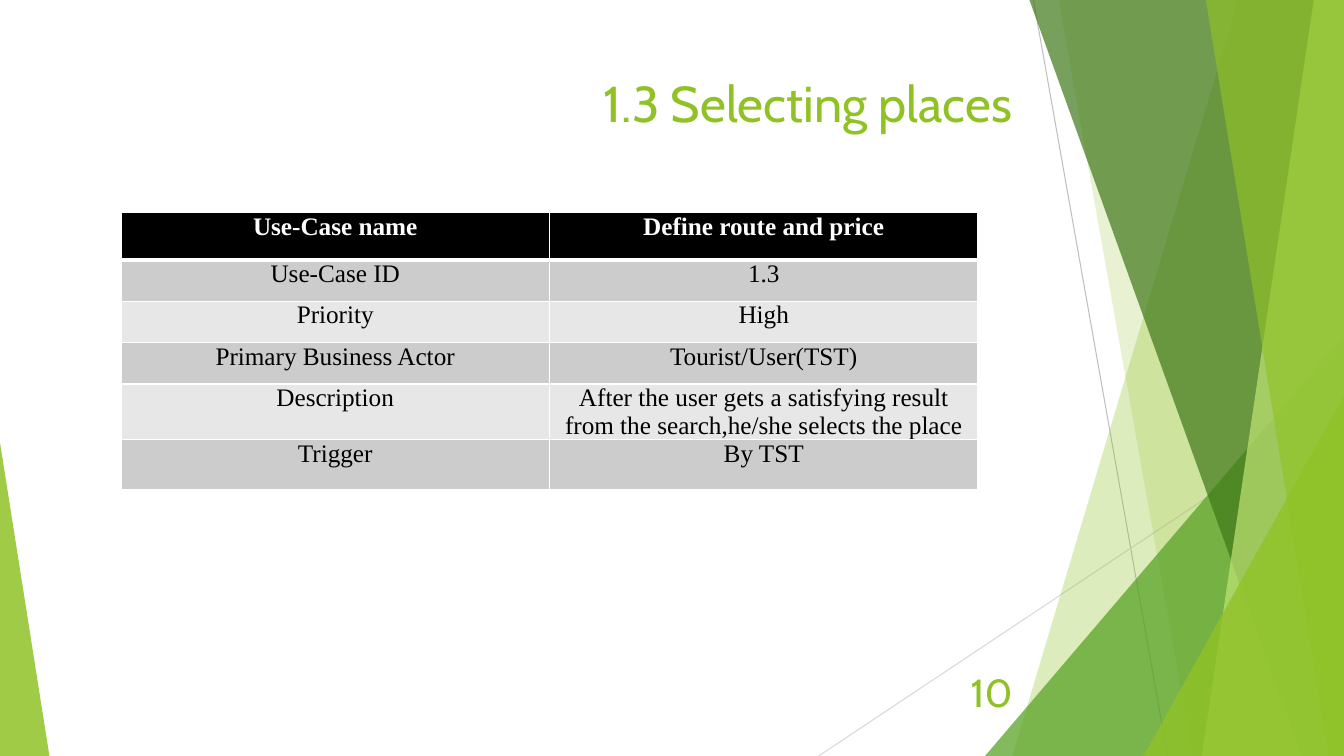
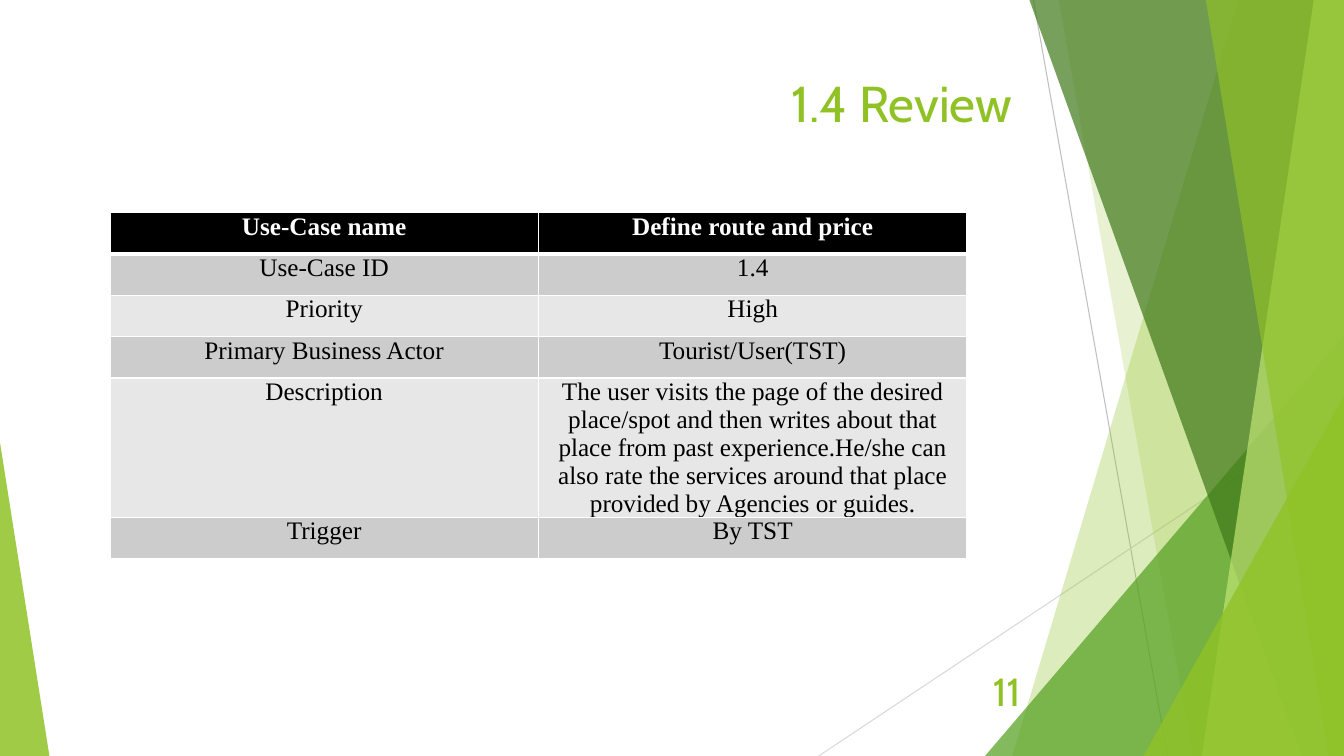
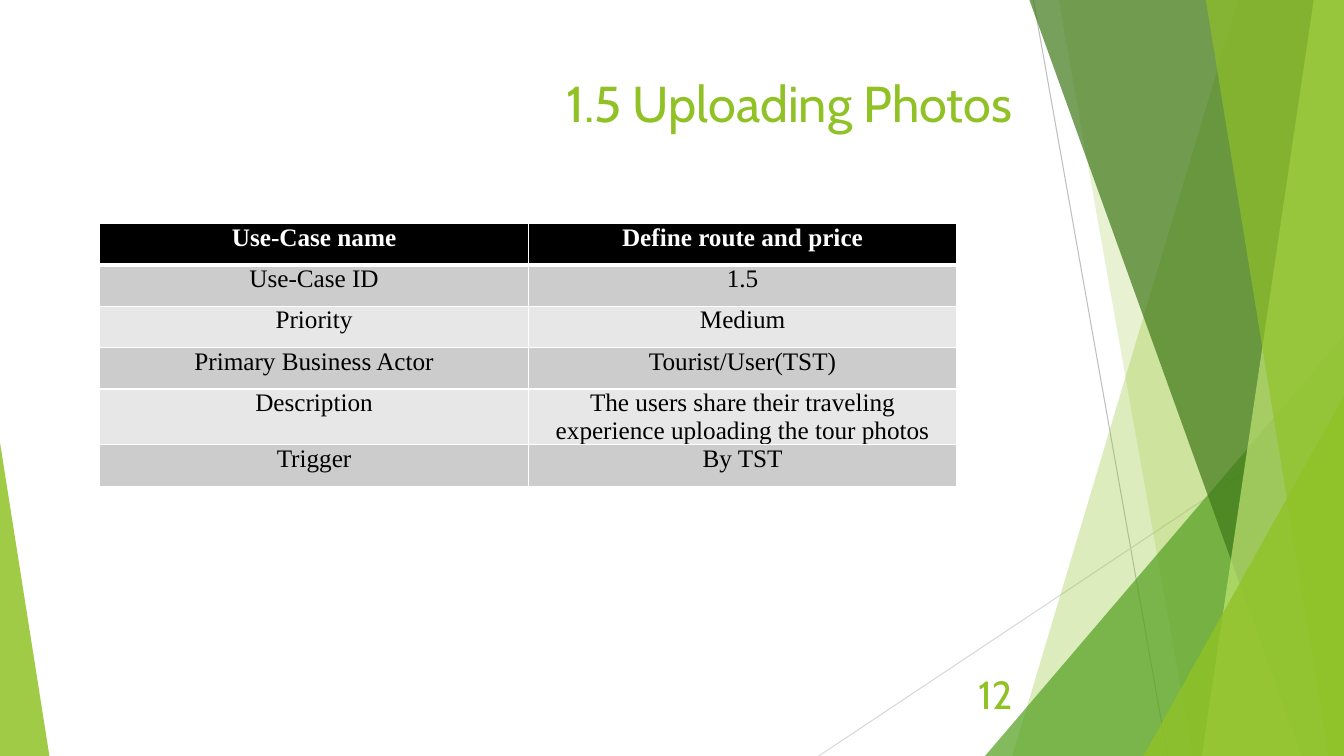
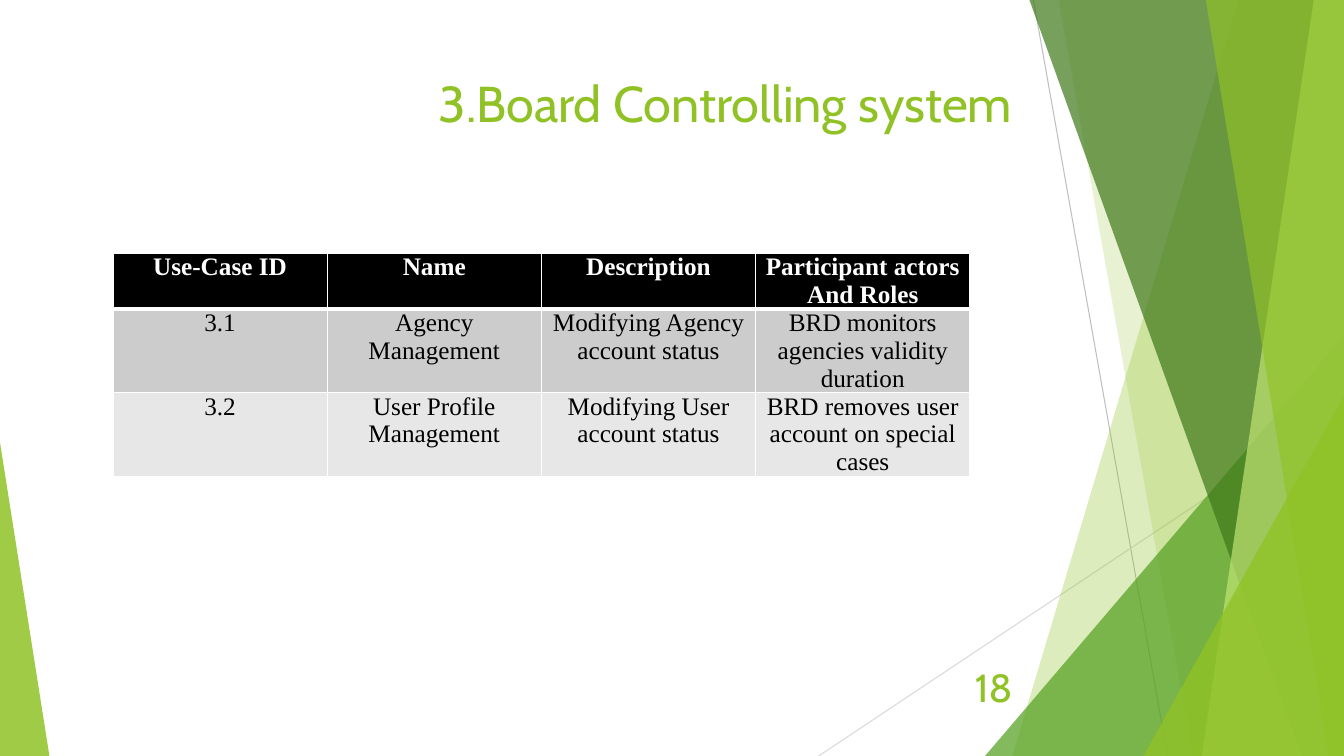
from lxml import etree
from pptx import Presentation
from pptx.dml.color import RGBColor
from pptx.enum import shapes, text
from pptx.oxml import ns
from pptx.util import Inches, Pt

WIDE, HIGH = 13.33, 7.5
LIME, GREEN, DARK, PALE = "90C226", "54A021", "3F7819", "C0E474"
BLACK, WHITE, GREY, LIGHT = "000000", "FFFFFF", "CCCCCC", "E7E7E7"
HEAD, BODY = "Cabin", "Times New Roman"


def rgb(code):
    return RGBColor.from_string(code)


def sub(node, tag, **attrs):
    return etree.SubElement(node, ns.qn(tag), attrs)


def paint(shape, color, alpha):
    """Fill a shape with a see-through colour, without line or shadow."""
    shape.shadow.inherit = False
    shape.line.fill.background()
    shape.fill.solid()
    shape.fill.fore_color.rgb = rgb(color)
    node = shape.element.spPr.find(".//" + ns.qn("a:srgbClr"))
    sub(node, "a:alpha", val=str(alpha * 1000))


def style(frame, size, font, color, align, bold=False):
    for para in frame.paragraphs:
        para.alignment = align
        for run in para.runs:
            run.font.size = Pt(size)
            run.font.name = font
            run.font.bold = bold
            run.font.color.rgb = rgb(color)


def add_line(group, start, end, color):
    line = group.add_connector(shapes.MSO_CONNECTOR.STRAIGHT,
                               *map(Inches, start + end))
    line.line.color.rgb = rgb(color)
    line.line.width = Pt(0.75)
    sub(line.element.spPr, "a:effectLst")


def add_band(group, top, bottom, color, alpha):
    """Draw a full-height band from a slanted left edge to the right edge."""
    points = [(top, 0), (WIDE, 0), (WIDE, HIGH), (bottom, HIGH)]
    points = [(Inches(x), Inches(y)) for x, y in points]
    form = group.build_freeform(*points[0], scale=1.0)
    form.add_line_segments(points[1:], close=True)
    paint(form.convert_to_shape(), color, alpha)


def add_wedge(group, left, top, width, peak, color, alpha):
    """Draw a triangle that stands on the bottom edge of the slide."""
    wedge = group.add_shape(shapes.MSO_SHAPE.ISOSCELES_TRIANGLE,
                            *map(Inches, (left, top, width, HIGH - top)))
    wedge.adjustments[0] = peak
    paint(wedge, color, alpha)


def add_decor(slide):
    """Draw the green facets and move them to the slide's layout."""
    facets = slide.shapes.add_group_shape()
    group = facets.shapes
    add_line(group, (10.25, 0), (11.58, HIGH), "BFBFBF")
    add_line(group, (WIDE, 4.03), (8.12, HIGH), "D9D9D9")
    add_band(group, 12.28, 10.04, LIME, 30)
    add_band(group, 10.5, 11.83, LIME, 20)
    add_wedge(group, 9.77, 3.33, 3.56, 1, GREEN, 72)
    add_band(group, 10.21, 12.91, DARK, 70)
    add_band(group, 13.03, 11.92, PALE, 70)
    add_band(group, 11.96, 13.18, LIME, 65)
    add_wedge(group, 11.34, 3.93, 1.99, 1, LIME, 80)
    add_wedge(group, 0, 4.39, 0.49, 0, LIME, 85)
    tree = slide.slide_layout.shapes.element
    tree.insert(2, facets.element)
    for num, node in enumerate(tree.iter(ns.qn("p:cNvPr")), 1):
        node.set("id", str(num))


def add_title(slide, words):
    title = slide.shapes.title
    title.left, title.top = Inches(0.74), Inches(0.67)
    title.width, title.height = Inches(9.4), Inches(1.44)
    frame = title.text_frame
    frame.text = words
    frame.vertical_anchor = text.MSO_ANCHOR.TOP
    style(frame, 36, HEAD, LIME, text.PP_ALIGN.RIGHT)


def add_number(slide, num, left, top):
    box = slide.shapes.add_textbox(*map(Inches, (left, top, 0.75, 0.4)))
    frame = box.text_frame
    frame.word_wrap = True
    frame.vertical_anchor = text.MSO_ANCHOR.MIDDLE
    frame.text = str(num)
    style(frame, 28, HEAD, LIME, text.PP_ALIGN.RIGHT)


def add_edges(cell, top, bottom):
    """Give a cell white borders; top and bottom are widths in points."""
    props = cell._tc.get_or_add_tcPr()
    for side, width in zip("LRTB", (1, 1, top, bottom)):
        edge = sub(props, "a:ln" + side, w=str(Pt(width)))
        sub(sub(edge, "a:solidFill"), "a:srgbClr", val=WHITE)


def add_table(slide, left, top, rows, heights):
    count = len(rows[0])
    frame = slide.shapes.add_table(
        len(rows), count,
        *map(Inches, (left, top, 8.5, sum(heights))))
    table = frame.table
    for col in table.columns:
        col.width = Inches(8.5 / count)
    for r, row in enumerate(rows):
        table.rows[r].height = Inches(heights[r])
        first = r == 0
        back = BLACK if first else (LIGHT, GREY)[r % 2]
        for c, words in enumerate(row):
            cell = table.cell(r, c)
            cell.margin_left = cell.margin_right = Inches(0.07)
            cell.margin_top = cell.margin_bottom = 0
            add_edges(cell, 3 if r == 1 else 1, 3 if first else 1)
            cell.fill.solid()
            cell.fill.fore_color.rgb = rgb(back)
            cell.text_frame.text = words
            style(cell.text_frame, 18, BODY, WHITE if first else BLACK,
                  text.PP_ALIGN.CENTER, first)


def use_case(ident, rank, story):
    """Return the rows that describe one use case."""
    return [("Use-Case name", "Define route and price"),
            ("Use-Case ID", ident),
            ("Priority", rank),
            ("Primary Business Actor", "Tourist/User(TST)"),
            ("Description", story),
            ("Trigger", "By TST")]


PLACES = use_case(
    "1.3", "High",
    "After the user gets a satisfying result from the search,"
    "he/she selects the place")
REVIEW = use_case(
    "1.4", "High",
    "The user visits the page of the desired place/spot and then writes "
    "about that place from past experience.He/she can also rate the services "
    "around that place provided by Agencies or guides.")
PHOTOS = use_case(
    "1.5", "Medium",
    "The users share their traveling experience uploading the tour photos")
BOARD = [
    ("Use-Case ID", "Name", "Description", "Participant actors\nAnd Roles"),
    ("3.1", "Agency Management", "Modifying Agency account status",
     "BRD monitors agencies validity duration"),
    ("3.2", "User Profile Management", "Modifying User account status",
     "BRD removes user account on special cases")]

# title, table rows, row heights, table corner, page number, number corner
PAGES = [
    ("1.3 Selecting places", PLACES, [0.47] + [0.41] * 4 + [0.49],
     (1.2, 2.11), 10, (9.39, 6.66)),
    ("1.4 Review", REVIEW, [0.41] * 6, (1.09, 2.11), 11, (9.47, 6.65)),
    ("1.5 Uploading Photos", PHOTOS, [0.41] * 6,
     (0.99, 2.22), 12, (9.39, 6.68)),
    ("3.Board Controlling system", BOARD, [0.41] * 3,
     (1.12, 2.51), 18, (9.39, 6.61))]


def main():
    deck = Presentation()
    deck.slide_width, deck.slide_height = Inches(WIDE), Inches(HIGH)
    layout = deck.slide_layouts.get_by_name("Title Only")
    for title, rows, heights, corner, num, spot in PAGES:
        slide = deck.slides.add_slide(layout)
        if len(deck.slides) == 1:
            add_decor(slide)
        add_title(slide, title)
        add_table(slide, *corner, rows, heights)
        add_number(slide, num, *spot)
    deck.save("out.pptx")


if __name__ == "__main__":
    main()
